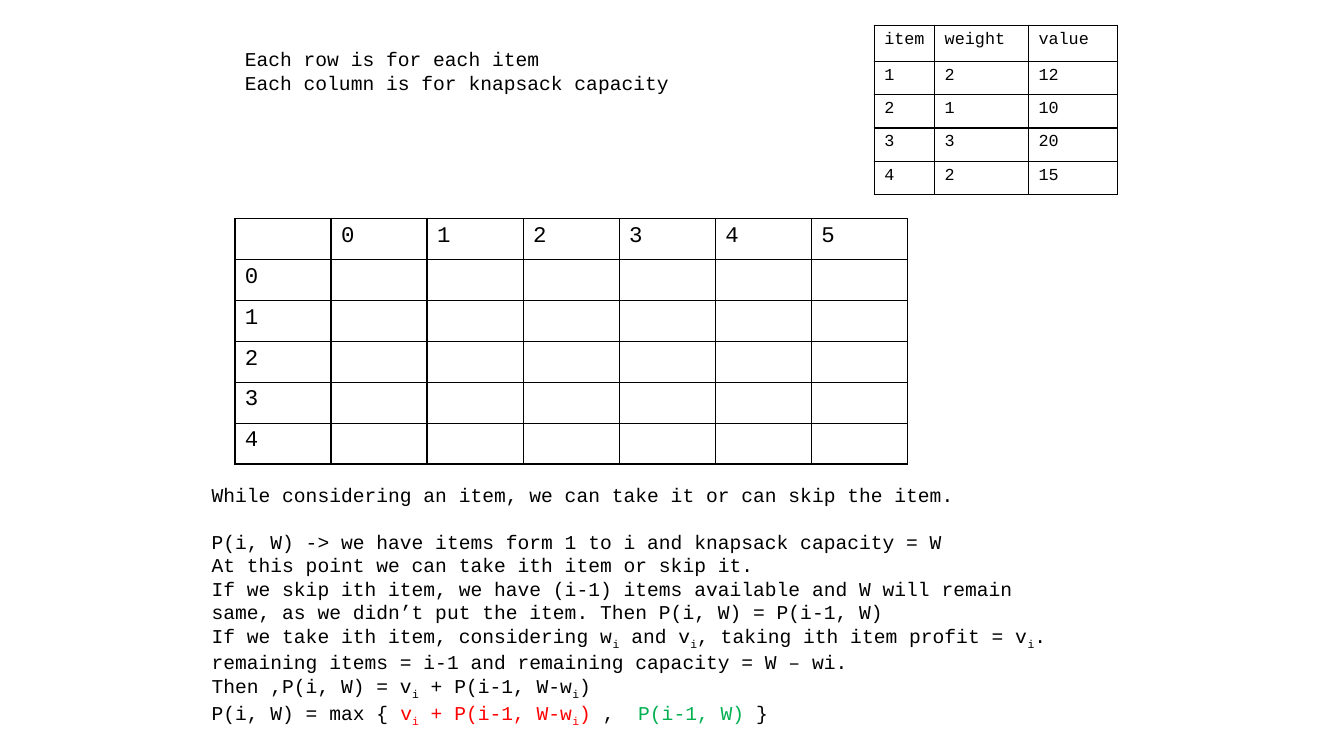
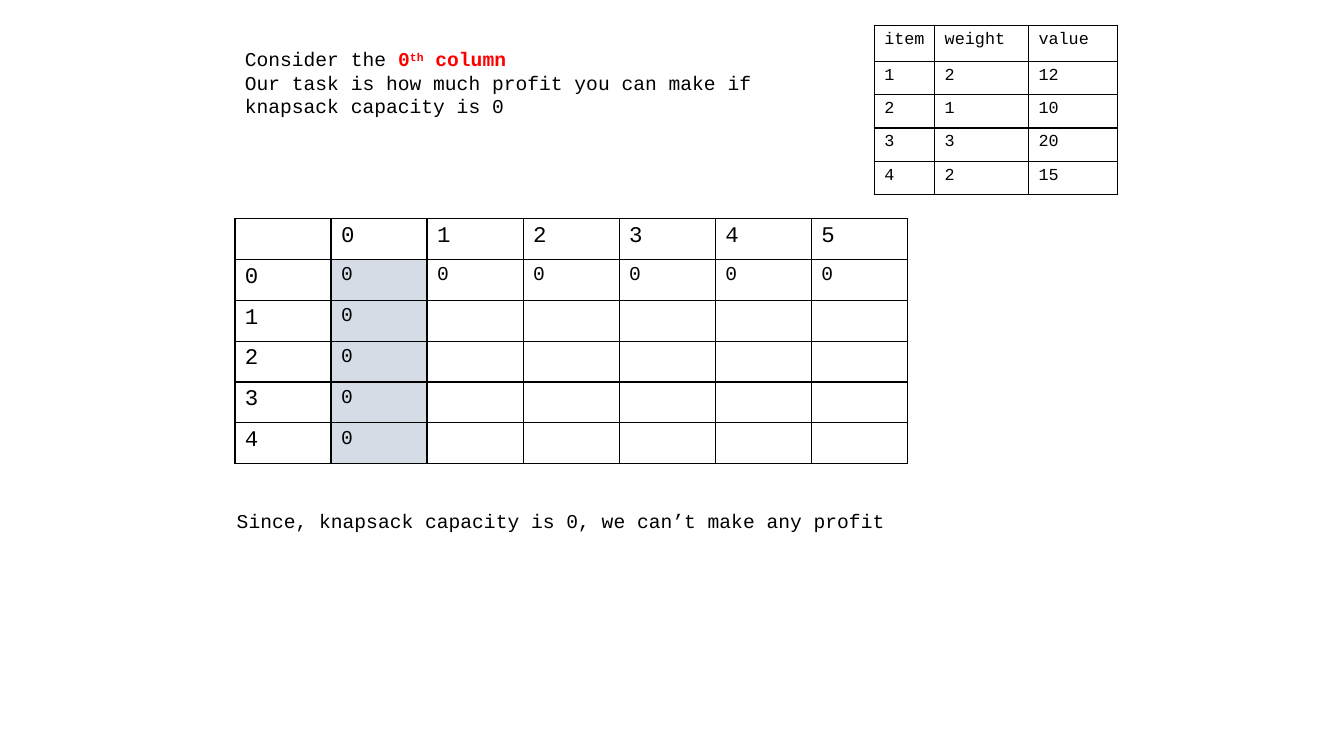
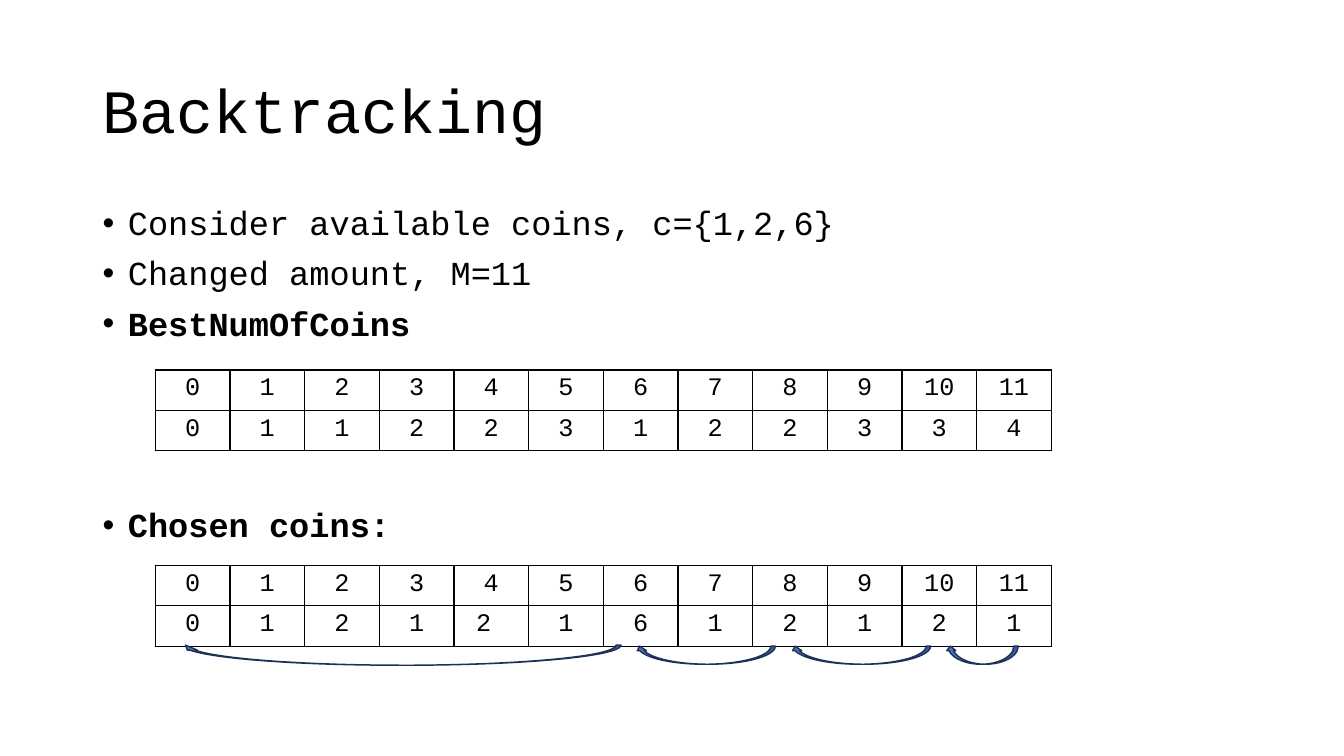
from lxml.etree import SubElement
from pptx import Presentation
from pptx.dml.color import RGBColor
from pptx.enum.shapes import MSO_SHAPE
from pptx.enum.text import MSO_ANCHOR, MSO_AUTO_SIZE, PP_ALIGN
from pptx.oxml import parse_xml
from pptx.oxml.ns import nsdecls, qn
from pptx.util import Inches, Pt

FONT = "Courier New"
BLACK, WHITE, RED, GREEN = "000000", "FFFFFF", "FF0000", "00B050"
HIGHLIGHT, ARROW_FILL, ARROW_LINE = "D6DCE5", "4472C4", "1E3256"
TITLE_ONLY, BLANK = 5, 6
hex_color = RGBColor.from_string


def write_text(frame, paragraphs, size=14, align=PP_ALIGN.LEFT, line_spacing=None,
               space_before=None, bullet=False):
    """Each paragraph is a list of runs: a string, or (string, dict of color, bold, baseline)."""
    frame.word_wrap = True
    for index, runs in enumerate(paragraphs):
        paragraph = frame.paragraphs[0] if index == 0 else frame.add_paragraph()
        paragraph.alignment = align
        if line_spacing:
            paragraph.line_spacing = line_spacing
        if space_before:
            paragraph.space_before = Pt(space_before)
        if bullet:
            properties = paragraph._p.get_or_add_pPr()
            properties.set("marL", str(Inches(0.25)))
            properties.set("indent", str(Inches(-0.25)))
            SubElement(properties, qn("a:buFont"), typeface="Arial")
            SubElement(properties, qn("a:buChar"), char="•")
        for part in runs:
            text, style = (part, {}) if isinstance(part, str) else part
            run = paragraph.add_run()
            run.text = text
            run.font.name = FONT
            run.font.size = Pt(size)
            run.font.bold = style.get("bold", False)
            run.font.color.rgb = hex_color(style.get("color", BLACK))
            if "baseline" in style:
                run._r.get_or_add_rPr().set("baseline", str(style["baseline"] * 1000))


def add_grid(slide, left, top, widths, heights, rows, size, align=PP_ALIGN.LEFT):
    """Add a white table with thin black borders on every cell."""
    table = slide.shapes.add_table(
        len(heights), len(widths), Inches(left), Inches(top),
        Inches(sum(widths)), Inches(sum(heights))).table
    table.first_row = table.horz_banding = False
    for column, width in zip(table.columns, widths):
        column.width = Inches(width)
    for row, height in zip(table.rows, heights):
        row.height = Inches(height)
    for cell, value in zip(table.iter_cells(), [value for row in rows for value in row]):
        cell.fill.solid()
        cell.fill.fore_color.rgb = hex_color(WHITE)
        for position, side in enumerate(("lnL", "lnR", "lnT", "lnB")):
            cell._tc.get_or_add_tcPr().insert(position, parse_xml(
                f'<a:{side} {nsdecls("a")} w="12700"><a:solidFill>'
                f'<a:srgbClr val="{BLACK}"/></a:solidFill></a:{side}>'))
        if value != "":
            write_text(cell.text_frame, [[str(value)]], size=size, align=align)
    return table


presentation = Presentation()
presentation.slide_width = Inches(13.33)
presentation.slide_height = Inches(7.5)

# Knapsack slides: items, capacity grid, introduction and reasoning
items = [["item", "weight", "value"], [1, 2, 12], [2, 1, 10], [3, 3, 20], [4, 2, 15]]
capacity_rows = [["", *range(6)]] + [[item] + [""] * 6 for item in range(5)]

sub_i = ("i", {"baseline": -25})
red = {"color": RED}
red_sub_i = ("i", {"color": RED, "baseline": -25})
red_bold = {"color": RED, "bold": True}

recurrence = [
    ["While considering an item, we can take it or can skip the item."],
    ["P(i, W) -> we have items form 1 to i and knapsack capacity = W"],
    ["At this point we can take ith item or skip it."],
    ["If we skip ith item, we have (i-1) items available and W will remain same, "
     "as we didn’t put the item. Then P(i, W) = P(i-1, W)"],
    ["If we take ith item, considering w", sub_i, " and v", sub_i,
     ", taking ith item profit = v", sub_i,
     ". remaining items = i-1 and remaining capacity = W – wi."],
    ["Then ,P(i, W) = v", sub_i, " + P(i-1, W-w", sub_i, ")"],
    ["P(i, W) = max { ", ("v", red), red_sub_i, (" + P(i-1, W-w", red), red_sub_i,
     (") ", red), ",  ", ("P(i-1, W) ", {"color": GREEN}), "}"],
]
grid_intro = [["Each row is for each item"], ["Each column is for knapsack capacity"]]
column_intro = [
    ["Consider the ", ("0", red_bold), ("th", {**red_bold, "baseline": 30}),
     (" column", red_bold)],
    ["Our task is how much profit you can make if knapsack capacity is 0"],
]
no_profit = [["Since, knapsack capacity is 0, we can’t make any profit"]]

knapsack_slides = [
    (((2, 4.74, 8.67, 2.52), recurrence), ((2.33, 0.42, 5.67, 0.57), grid_intro)),
    (((2.25, 5, 8.67, 0.34), no_profit), ((2.33, 0.42, 5.67, 0.81), column_intro)),
]
for notes in knapsack_slides:
    slide = presentation.slides.add_slide(presentation.slide_layouts[BLANK])
    add_grid(slide, 8.67, 0.25, [0.6, 0.93, 0.88], [0.36] + [0.33] * 4, items, size=12)
    profits = add_grid(slide, 2.33, 2.17, [6.67 / 7] * 7, [2.43 / 6] * 6,
                       capacity_rows, size=16)
    for bounds, paragraphs in notes:
        note = slide.shapes.add_textbox(*map(Inches, bounds)).text_frame
        write_text(note, paragraphs)
        note.auto_size = MSO_AUTO_SIZE.SHAPE_TO_FIT_TEXT
        if paragraphs is recurrence:
            note.paragraphs[1].space_before = Pt(16.5)

# The second knapsack slide has its zero row and zero column filled in
for row in range(1, 6):
    for column in range(1, 7):
        if row == 1 or column == 1:
            write_text(profits.cell(row, column).text_frame, [["0"]])
    profits.cell(row, 1).fill.fore_color.rgb = hex_color(HIGHLIGHT)

# Backtracking slide
slide = presentation.slides.add_slide(presentation.slide_layouts[TITLE_ONLY])
title = slide.shapes.title
title.left, title.top, title.width, title.height = map(Inches, (0.92, 0.4, 11.5, 1.45))
title.text_frame.vertical_anchor = MSO_ANCHOR.MIDDLE
title.text_frame.auto_size = MSO_AUTO_SIZE.NONE
write_text(title.text_frame, [["Backtracking"]], size=44, line_spacing=0.9)

coin_points = slide.shapes.add_textbox(*map(Inches, (0.92, 2, 11.5, 4.76))).text_frame
write_text(coin_points, [
    ["Consider available coins, c={1,2,6}"],
    ["Changed amount, M=11"],
    [("BestNumOfCoins", {"bold": True})],
    [("Chosen coins:", {"bold": True})],
], size=24, line_spacing=0.9, space_before=10, bullet=True)
coin_points.paragraphs[3].space_before = Pt(118)

best_num_of_coins = [0, 1, 1, 2, 2, 3, 1, 2, 2, 3, 3, 4]
chosen_coins = [0, 1, 2, 1, "2 ", 1, 6, 1, 2, 1, 2, 1]
for top, coins in ((3.67, best_num_of_coins), (5.61, chosen_coins)):
    add_grid(slide, 1.54, top, [8.89 / 12] * 12, [0.4, 0.39], [range(12), coins],
             size=18, align=PP_ALIGN.CENTER)

for left, top, width, height in ((9.38, 6.41, 0.72, 0.18), (7.84, 6.41, 1.39, 0.18),
                                 (6.3, 6.41, 1.39, 0.18), (1.79, 6.4, 4.37, 0.2)):
    step_back = slide.shapes.add_shape(MSO_SHAPE.CURVED_UP_ARROW, Inches(left), Inches(top),
                                       Inches(width), Inches(height))
    step_back.shadow.inherit = False
    step_back.fill.solid()
    step_back.fill.fore_color.rgb = hex_color(ARROW_FILL)
    step_back.line.color.rgb = hex_color(ARROW_LINE)
    step_back.line.width = Pt(1)
    step_back._element.spPr.find(qn("a:xfrm")).set("flipH", "1")

presentation.save("out.pptx")
